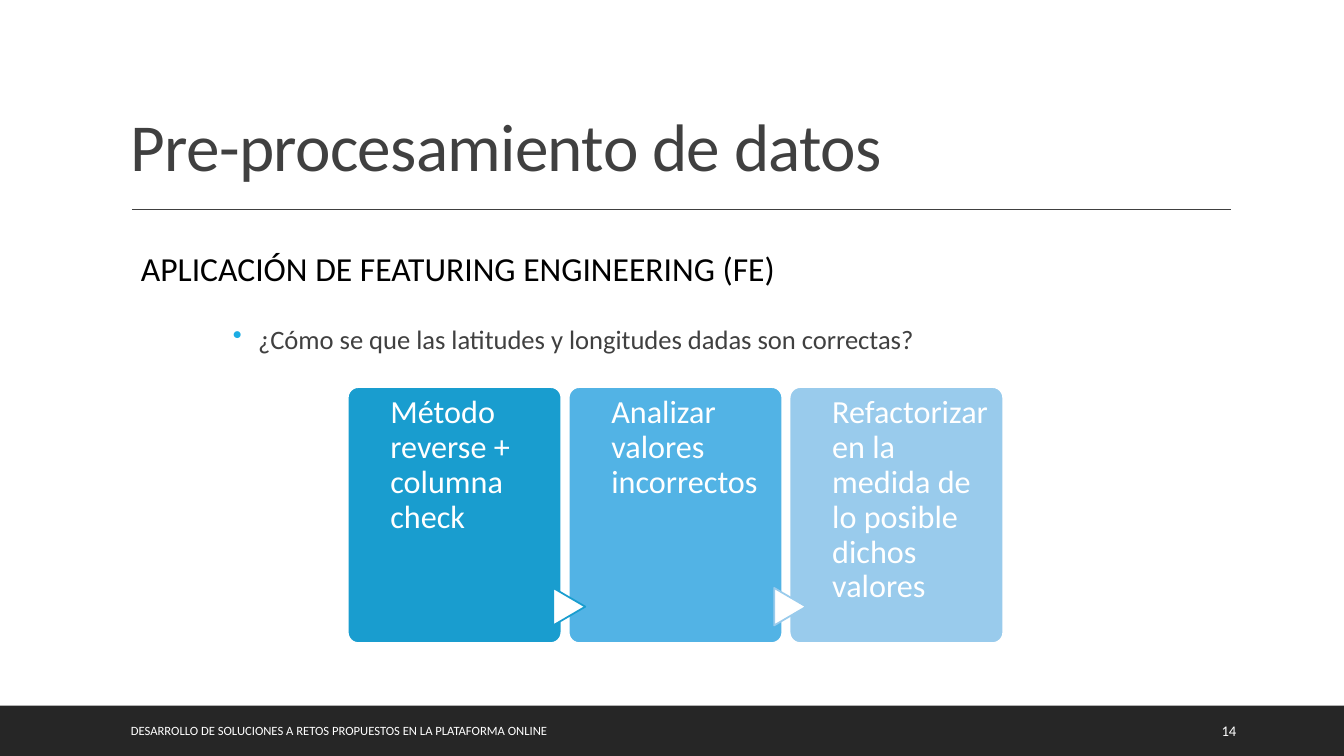
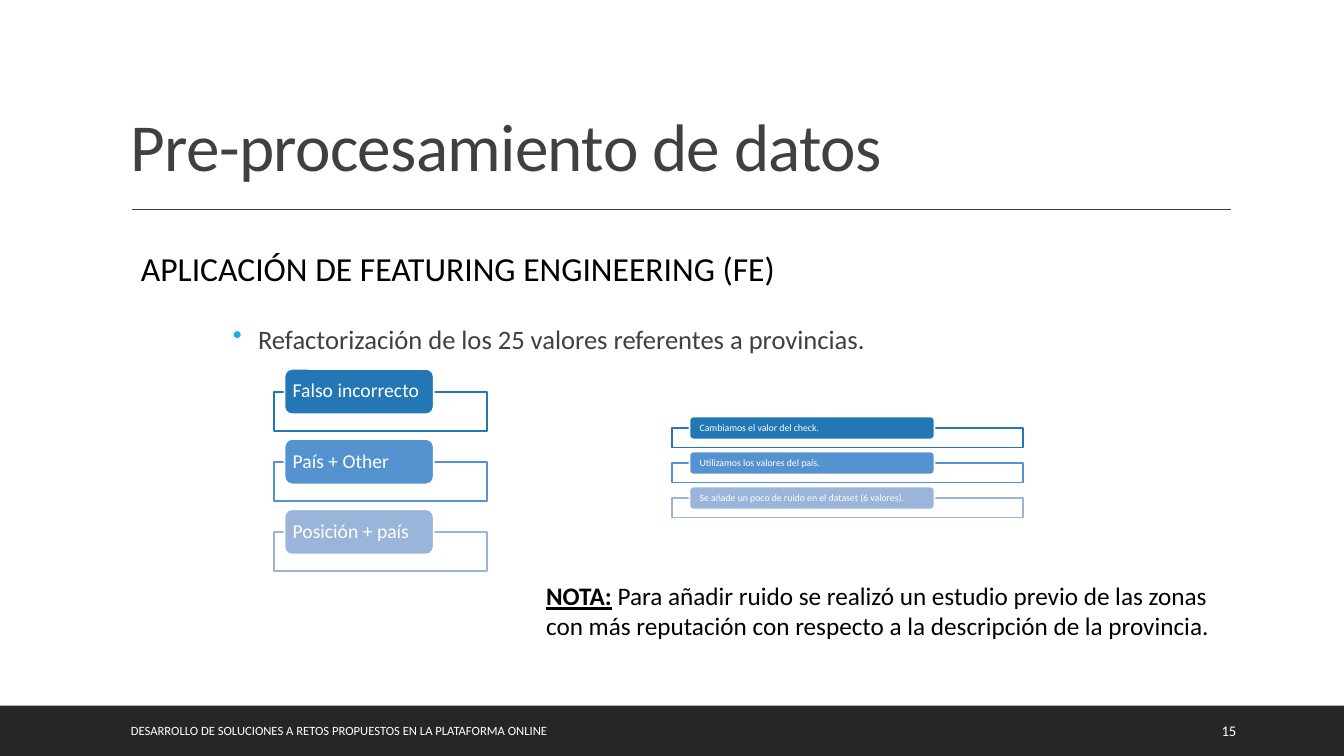
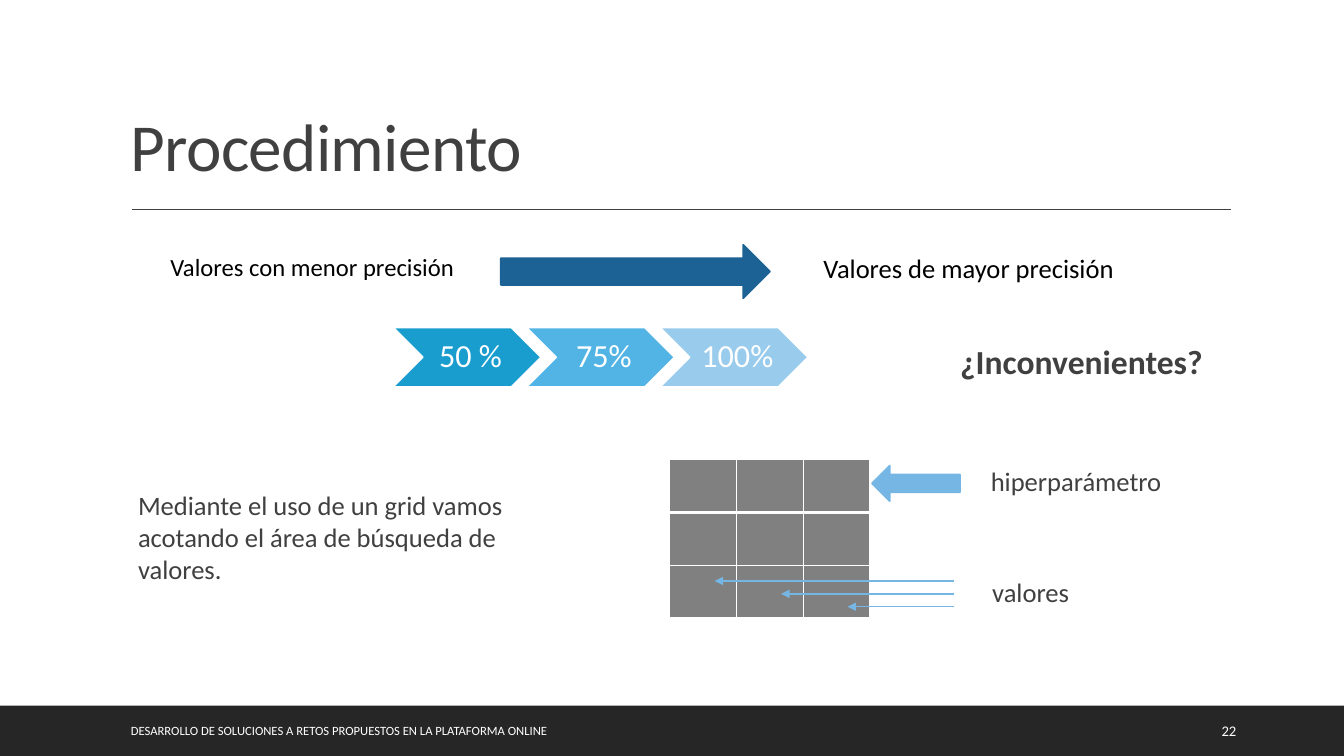
from dataclasses import dataclass, replace
from typing import NamedTuple

from lxml.etree import SubElement
from pptx import Presentation
from pptx.dml.color import RGBColor
from pptx.enum.shapes import MSO_CONNECTOR, MSO_SHAPE
from pptx.enum.text import MSO_ANCHOR, PP_ALIGN
from pptx.oxml.ns import qn
from pptx.shapes.autoshape import Shape
from pptx.slide import Slide
from pptx.table import _Cell
from pptx.text.text import _Paragraph
from pptx.util import Pt

WHITE = RGBColor(0xFF, 0xFF, 0xFF)
BLACK = RGBColor(0x00, 0x00, 0x00)
CHARCOAL = RGBColor(0x26, 0x26, 0x26)
SLATE = RGBColor(0x40, 0x40, 0x40)
GRAY = RGBColor(0x80, 0x80, 0x80)
CYAN = RGBColor(0x1C, 0xAD, 0xE4)
NAVY = RGBColor(0x1D, 0x62, 0x94)
SKY = RGBColor(0x75, 0xB6, 0xE5)
STEP_COLORS = (
    RGBColor(0x19, 0x9D, 0xCF),
    RGBColor(0x52, 0xB3, 0xE5),
    RGBColor(0x99, 0xCB, 0xEC),
)
LIST_COLORS = (
    RGBColor(0x22, 0x77, 0xB4),
    RGBColor(0x55, 0x93, 0xD0),
    RGBColor(0x9A, 0xB5, 0xD9),
)
FONT = "Calibri"
FOOTER = "DESARROLLO DE SOLUCIONES A RETOS PROPUESTOS EN LA PLATAFORMA ONLINE"
PREPROCESSING = "Pre-procesamiento de datos"


class Area(NamedTuple):
    left: float
    top: float
    width: float
    height: float


class Insets(NamedTuple):
    left: float = 7.2
    top: float = 3.6
    right: float = 7.2
    bottom: float = 3.6


@dataclass(frozen=True)
class TextStyle:
    size: float
    color: RGBColor
    bold: bool = False
    align: PP_ALIGN = PP_ALIGN.LEFT
    anchor: MSO_ANCHOR = MSO_ANCHOR.TOP
    insets: Insets = Insets()
    line_spacing: float = 1.0
    tracking: int = 0
    bulleted: bool = False


@dataclass(frozen=True)
class TabList:
    frame: Area
    tab: Area
    pitch: float
    style: TextStyle
    labels: tuple[str, ...]


FLUSH = Insets(0, 3.6, 0, 3.6)
TITLE = TextStyle(48, SLATE, anchor=MSO_ANCHOR.BOTTOM, line_spacing=0.9, tracking=-50)
HEADING = TextStyle(24, BLACK, anchor=MSO_ANCHOR.MIDDLE)
BODY = TextStyle(19, SLATE, insets=FLUSH)
BULLET = replace(BODY, bulleted=True)
CENTERED = replace(BODY, align=PP_ALIGN.CENTER)
QUESTION = replace(CENTERED, size=24, bold=True)
NOTE = TextStyle(18, BLACK)
FOOTER_TEXT = TextStyle(9, WHITE, anchor=MSO_ANCHOR.MIDDLE)
PAGE_NUMBER = replace(FOOTER_TEXT, size=10.5)
CARD = TextStyle(23, WHITE, insets=Insets(28.2, 4.3, 6.2, 0), line_spacing=0.9)
CHEVRON = replace(
    CARD,
    align=PP_ALIGN.CENTER,
    anchor=MSO_ANCHOR.MIDDLE,
    insets=Insets(7.2, 2.2, 2.2, 2.2),
)
TAB = replace(CARD, size=14, anchor=MSO_ANCHOR.MIDDLE, insets=Insets(4.3, 0, 4.3, 0))
SMALL_TAB = replace(TAB, size=7, insets=Insets(6.5, 0, 6.5, 0))

CARDS = (
    "Método reverse + columna check",
    "Analizar valores incorrectos",
    "Refactorizar en la medida de lo posible dichos valores",
)
PROBLEMS = TabList(
    Area(195.6, 279.9, 152.3, 28),
    Area(203.2, 263.5, 106.6, 32.4),
    50.1,
    TAB,
    ("Falso incorrecto", "País + Other", "Posición + país"),
)
SOLUTIONS = TabList(
    Area(480.2, 305.8, 250.6, 13.8),
    Area(492.5, 297.5, 175, 16.4),
    25,
    SMALL_TAB,
    (
        "Cambiamos el valor del check.",
        "Utilizamos los valores del país.",
        "Se añade un poco de ruido en el dataset (6 valores).",
    ),
)


def add_bullet(para: _Paragraph) -> None:
    properties = para._p.get_or_add_pPr()
    properties.set("marL", str(Pt(18)))
    properties.set("indent", str(-Pt(18)))
    color = SubElement(properties, qn("a:buClr"))
    SubElement(color, qn("a:srgbClr"), val=str(CYAN))
    SubElement(properties, qn("a:buChar"), char="•")


def write_text(box: Shape, text: str, style: TextStyle) -> _Paragraph:
    frame = box.text_frame
    frame.word_wrap = True
    frame.vertical_anchor = style.anchor
    frame.margin_left, frame.margin_top, frame.margin_right, frame.margin_bottom = map(
        Pt, style.insets
    )
    para = frame.paragraphs[0]
    if style.bulleted:
        add_bullet(para)
    para.alignment = style.align
    para.line_spacing = style.line_spacing
    para.font.name = FONT
    para.font.size = Pt(style.size)
    para.font.bold = style.bold
    para.font.color.rgb = style.color
    span = para.add_run()
    span.text = text
    if style.tracking:
        span._r.get_or_add_rPr().set("spc", str(style.tracking))
    return para


def add_text(page: Slide, area: Area, text: str, style: TextStyle) -> _Paragraph:
    return write_text(page.shapes.add_textbox(*map(Pt, area)), text, style)


def add_block(
    page: Slide,
    kind: MSO_SHAPE,
    area: Area,
    fill: RGBColor,
    line: RGBColor | None = None,
) -> Shape:
    block = page.shapes.add_shape(kind, *map(Pt, area))
    block.shadow.inherit = False
    block.fill.solid()
    block.fill.fore_color.rgb = fill
    if line is None:
        block.line.fill.background()
    else:
        block.line.color.rgb = line
        block.line.width = Pt(1.25)
    return block


def add_line(
    page: Slide,
    start: tuple[float, float],
    end: tuple[float, float],
    color: RGBColor,
    arrow: bool = False,
) -> None:
    line = page.shapes.add_connector(
        MSO_CONNECTOR.STRAIGHT, *map(Pt, (*start, *end))
    )
    line.line.color.rgb = color
    line.line.width = Pt(1)
    if arrow:
        SubElement(line.line._get_or_add_ln(), qn("a:tailEnd"), type="triangle")
    SubElement(line._element.spPr, qn("a:effectLst"))


def add_page(deck: Presentation, title: str, number: int) -> Slide:
    page = deck.slides.add_slide(deck.slide_layouts[6])
    add_block(page, MSO_SHAPE.RECTANGLE, Area(0, 504, 960, 36), CHARCOAL)
    add_line(page, (94.3, 149.6), (879, 149.6), SLATE)
    add_text(page, Area(86.4, 22.4, 792, 114.4), title, TITLE)
    add_text(page, Area(86.4, 507.6, 537, 28.8), FOOTER, FOOTER_TEXT)
    add_text(page, Area(865.5, 507.6, 61.2, 28.8), str(number), PAGE_NUMBER)
    return page


def add_feature_page(deck: Presentation, number: int, point: str) -> Slide:
    page = add_page(deck, PREPROCESSING, number)
    add_text(
        page,
        Area(93.6, 162, 508.3, 58.3),
        "APLICACIÓN DE FEATURING ENGINEERING (FE)",
        HEADING,
    )
    add_text(page, Area(166.3, 226.8, 632.2, 35.3), point, BULLET)
    return page


def add_cards(page: Slide) -> None:
    for index, (text, color) in enumerate(zip(CARDS, STEP_COLORS)):
        left = 248.4 + 157.8 * index
        card = add_block(
            page,
            MSO_SHAPE.ROUNDED_RECTANGLE,
            Area(left, 276.5, 152.6, 182.9),
            color,
            WHITE,
        )
        card.adjustments[0] = 0.05
        write_text(card, text, CARD)
        if index:
            pointer = add_block(
                page,
                MSO_SHAPE.FLOWCHART_EXTRACT,
                Area(left - 13, 421.9, 26.8, 22.9),
                WHITE,
                STEP_COLORS[0 if index == 1 else 2],
            )
            pointer.rotation = 90


def add_tab_list(page: Slide, tabs: TabList) -> None:
    for index, (text, color) in enumerate(zip(tabs.labels, LIST_COLORS)):
        shift = tabs.pitch * index
        frame = tabs.frame._replace(top=tabs.frame.top + shift)
        add_block(page, MSO_SHAPE.RECTANGLE, frame, WHITE, color)
        area = tabs.tab._replace(top=tabs.tab.top + shift)
        tab = add_block(page, MSO_SHAPE.ROUNDED_RECTANGLE, area, color, WHITE)
        write_text(tab, text, tabs.style)


def set_border(cell: _Cell, side: str, width: float) -> None:
    border = SubElement(
        cell._tc.get_or_add_tcPr(), qn(f"a:{side}"), w=str(Pt(width))
    )
    fill = SubElement(border, qn("a:solidFill"))
    SubElement(fill, qn("a:srgbClr"), val=str(WHITE))


def add_grid(page: Slide) -> None:
    heights = (38.2, 38.2, 36.7)
    area = Area(478.1, 327.8, 143.4, sum(heights))
    table = page.shapes.add_table(3, 3, *map(Pt, area)).table
    table.first_row = False
    table.horz_banding = False
    for column in table.columns:
        column.width = Pt(area.width / 3)
    for index, (row, height) in enumerate(zip(table.rows, heights)):
        row.height = Pt(height)
        for cell in row.cells:
            set_border(cell, "lnL", 1)
            set_border(cell, "lnR", 1)
            set_border(cell, "lnT", 3 if index == 1 else 1)
            set_border(cell, "lnB", 3 if index == 0 else 1)
            cell.fill.solid()
            cell.fill.fore_color.rgb = GRAY


def build_check_page(deck: Presentation) -> None:
    page = add_feature_page(
        deck, 14, "¿Cómo se que las latitudes y longitudes dadas son correctas?"
    )
    add_cards(page)


def build_refactoring_page(deck: Presentation) -> None:
    page = add_feature_page(
        deck, 15, "Refactorización de los 25 valores referentes a provincias."
    )
    add_tab_list(page, PROBLEMS)
    add_tab_list(page, SOLUTIONS)
    note = add_text(page, Area(383, 411.1, 495.4, 51.1), "NOTA:", NOTE)
    note.runs[0].font.bold = True
    note.runs[0].font.underline = True
    note.add_run().text = (
        " Para añadir ruido se realizó un estudio previo de las zonas con más "
        "reputación con respecto a la descripción de la provincia."
    )


def build_procedure_page(deck: Presentation) -> None:
    page = add_page(deck, "Procedimiento", 22)
    for index, (text, color) in enumerate(zip(("50 %", "75%", "100%"), STEP_COLORS)):
        area = Area(280.8 + 95.3 * index, 234, 105.8, 42.4)
        chevron = add_block(page, MSO_SHAPE.CHEVRON, area, color, WHITE)
        write_text(chevron, text, CHEVRON)
    add_grid(page)
    for index, target in enumerate((510.5, 558, 605.5)):
        height = 415 + 9.2 * index
        add_line(page, (681.2, height), (target, height), SKY, arrow=True)
    add_block(page, MSO_SHAPE.LEFT_ARROW, Area(622.8, 332.6, 62.9, 25.4), SKY, SKY)
    add_block(page, MSO_SHAPE.RIGHT_ARROW, Area(357.8, 174.9, 192.2, 38.2), NAVY, NAVY)
    black_body = replace(BODY, color=BLACK)
    for area, text, style in (
        (
            Area(98.6, 345.6, 262.8, 81.4),
            "Mediante el uso de un grid vamos acotando el área de búsqueda de valores.",
            BODY,
        ),
        (Area(670.3, 407.5, 131.8, 33.8), "valores", CENTERED),
        (Area(702.7, 328.3, 131.8, 33.8), "hiperparámetro", CENTERED),
        (Area(588.2, 176.4, 210.2, 36), "Valores de mayor precisión", black_body),
        (
            Area(121.7, 176.4, 216.7, 42.5),
            "Valores con menor precisión",
            replace(black_body, size=17.6),
        ),
        (Area(685.4, 239.8, 174.2, 55.4), "¿Inconvenientes?", QUESTION),
    ):
        add_text(page, area, text, style)


def main() -> None:
    deck = Presentation()
    deck.slide_width = Pt(960)
    deck.slide_height = Pt(540)
    build_check_page(deck)
    build_refactoring_page(deck)
    build_procedure_page(deck)
    deck.save("out.pptx")


if __name__ == "__main__":
    main()
